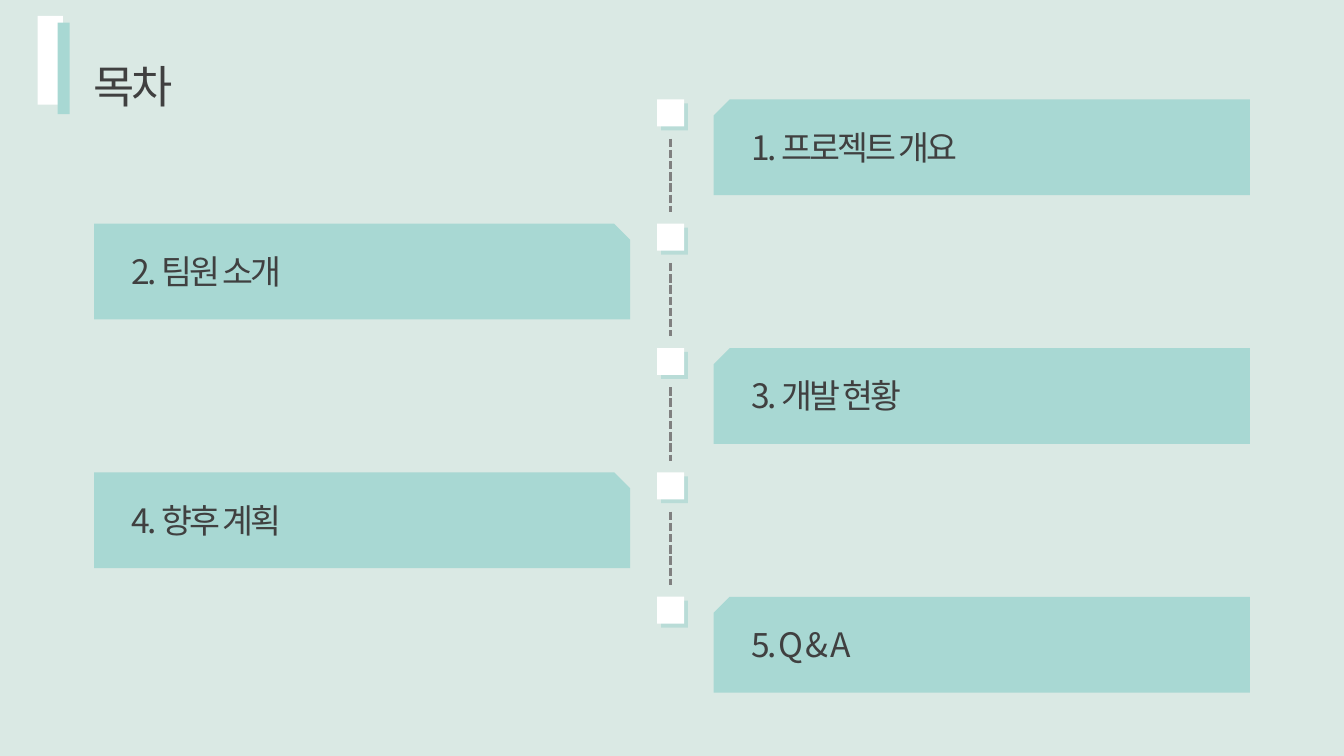
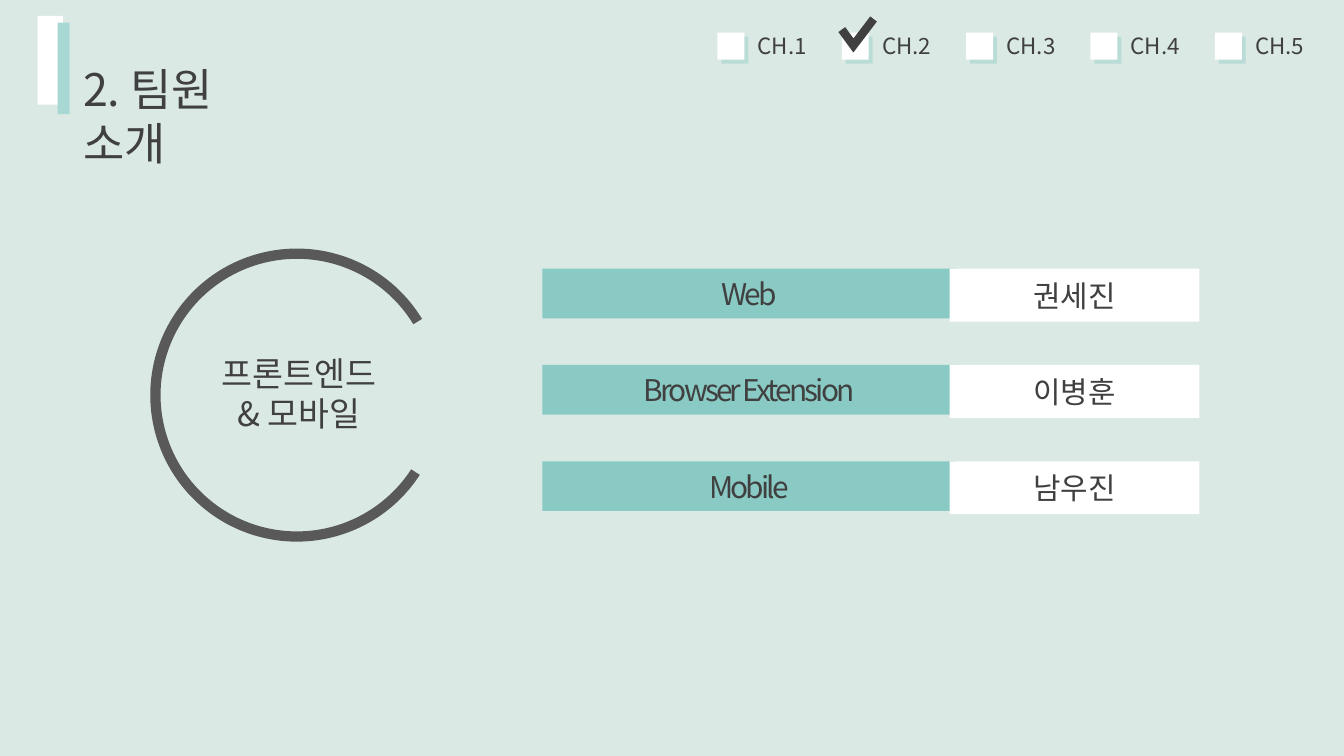
from dataclasses import dataclass

import lxml.etree
import pptx
import pptx.dml.color
import pptx.enum.dml
import pptx.enum.shapes
import pptx.enum.text
import pptx.oxml.ns
import pptx.util

Cm = pptx.util.Cm
Pt = pptx.util.Pt
SHAPE = pptx.enum.shapes.MSO_SHAPE
ALIGN = pptx.enum.text.PP_ALIGN
ANCHOR = pptx.enum.text.MSO_ANCHOR
qn = pptx.oxml.ns.qn


@dataclass(frozen=True)
class Theme:
    font: str = "Noto Sans CJK KR"
    background: str = "DAE9E4"
    white: str = "FFFFFF"
    mint: str = "A8D8D3"
    teal: str = "89CAC4"
    ink: str = "404040"
    ring: str = "595959"
    dash: str = "808080"
    title_size: int = 24
    body_size: int = 18
    member_size: int = 16
    chapter_size: int = 12
    tight: float = -1.5


@dataclass(frozen=True)
class Box:
    """A rectangle measured in centimetres."""
    left: float
    top: float
    width: float
    height: float

    def inner(self, left, top, width, height):
        """Return a box whose place is counted from this box's corner."""
        return Box(self.left + left, self.top + top, width, height)

    def lengths(self):
        return Cm(self.left), Cm(self.top), Cm(self.width), Cm(self.height)


THEME = Theme()
PAGE = Box(0, 0, 25.4, 14.29)
STEP = 2.35
SQUARE = 0.51
AGENDA = ["1. 프로젝트 개요", "2. 팀원 소개", "3. 개발 현황", "4. 향후 계획", "5. Q & A"]
MEMBERS = [("Web", "권세진"), ("Browser Extension", "이병훈"), ("Mobile", "남우진")]


def color(value):
    return pptx.dml.color.RGBColor.from_string(value)


def add_element(parent, tag, **attributes):
    return lxml.etree.SubElement(parent, qn(tag), attributes)


def write(shape, text, size, spacing=0, align=ALIGN.LEFT, anchor=ANCHOR.TOP, wrap=True):
    frame = shape.text_frame
    frame.text = text
    frame.word_wrap = wrap
    frame.vertical_anchor = anchor
    for para in frame.paragraphs:
        para.alignment = align
        for span in para.runs:
            span.font.size = Pt(size)
            span.font.name = THEME.font
            span.font.color.rgb = color(THEME.ink)
            properties = span.font._element
            add_element(properties, "a:ea", typeface=THEME.font)
            if spacing:
                properties.set("spc", str(round(spacing * 100)))


def add_text(page, box, text, size, **style):
    write(page.shapes.add_textbox(*box.lengths()), text, size, **style)


def add_block(page, box, fill, kind=SHAPE.RECTANGLE):
    block = page.shapes.add_shape(kind, *box.lengths())
    block.shadow.inherit = False
    block.fill.solid()
    block.fill.fore_color.rgb = color(fill)
    block.line.fill.background()
    return block


def add_square(page, box):
    """Add a white square with a hard teal shadow."""
    square = add_block(page, box, THEME.white)
    effects = square._element.spPr.find(qn("a:effectLst"))
    shadow = add_element(effects, "a:outerShdw", blurRad="0", dist=str(Pt(3)),
                         dir="2700000", algn="tl", rotWithShape="0")
    tint = add_element(shadow, "a:srgbClr", val=THEME.teal)
    add_element(tint, "a:alpha", val="40000")


def add_title(page, box, text, spacing=0):
    add_block(page, PAGE.inner(0.71, 0.3, 0.48, 1.68), THEME.white)
    add_block(page, PAGE.inner(1.09, 0.43, 0.23, 1.73), THEME.mint)
    add_text(page, box, text, THEME.title_size, spacing=spacing)


def add_timeline(page, box, count):
    for index in range(count):
        top = index * STEP
        add_square(page, box.inner(0, top, SQUARE, SQUARE))
        if index < count - 1:
            middle = Cm(box.left + box.width / 2)
            line = page.shapes.add_connector(
                pptx.enum.shapes.MSO_CONNECTOR.STRAIGHT,
                middle, Cm(box.top + top + 0.74), middle, Cm(box.top + top + 2.13))
            line.line.color.rgb = color(THEME.dash)
            line.line.width = Pt(1.5)
            line.line.dash_style = pptx.enum.dml.MSO_LINE.SQUARE_DOT
            add_element(line._element.spPr, "a:effectLst")


def add_agenda_card(page, box, text, snip_left):
    if snip_left:
        # The snipped corner is top right, so a left snip needs a quarter turn.
        shift = (box.width - box.height) / 2
        upright = box.inner(shift, -shift, box.height, box.width)
        card = add_block(page, upright, THEME.mint, SHAPE.SNIP_1_RECTANGLE)
        card.rotation = 270
    else:
        add_block(page, box, THEME.mint, SHAPE.SNIP_1_RECTANGLE)
    add_text(page, box.inner(0.46, 0.39, 9.22, 1.02), text,
             THEME.body_size, spacing=THEME.tight)


def add_chapters(page, box, count, current):
    """Add the row of chapter squares and tick the current one."""
    for index in range(count):
        square = box.inner(index * STEP, 0, SQUARE, SQUARE)
        add_square(page, square)
        add_text(page, square.inner(SQUARE, -0.14, 1.52, 0.76), f"CH.{index + 1}",
                 THEME.chapter_size, wrap=False)
    add_tick(page, box.inner((current - 1) * STEP, 0, SQUARE, SQUARE))


def add_tick(page, box):
    points = [(Cm(box.left + x), Cm(box.top + y))
              for x, y in [(0, -0.06), (0.22, 0.24), (0.6, -0.26)]]
    builder = page.shapes.build_freeform(*points[0])
    builder.add_line_segments(points[1:], close=False)
    tick = builder.convert_to_shape()
    tick.shadow.inherit = False
    tick.fill.background()
    tick.line.color.rgb = color(THEME.ink)
    tick.line.width = Pt(4.5)
    add_element(tick.line._ln, "a:miter", lim="800000")


def add_team_ring(page, box, text):
    add_text(page, box.inner(1.02, 1.85, 3.58, 1.8), text,
             THEME.body_size, align=ALIGN.CENTER)
    ring = add_block(page, box, THEME.ring, SHAPE.BLOCK_ARC)
    ring.rotation = 45.8
    for index, value in enumerate([208.31, 169.73, 0.035]):
        ring.adjustments[index] = value


def add_members(page, box, members):
    for index, (part, name) in enumerate(members):
        top = index * 1.82
        cells = [
            (box.inner(0, top, 7.82, 0.94), THEME.teal, part, THEME.tight),
            (box.inner(7.7, top, 4.72, 1), THEME.white, name, 0),
        ]
        for cell, fill, text, spacing in cells:
            write(add_block(page, cell, fill), text, THEME.member_size,
                  spacing=spacing, align=ALIGN.CENTER, anchor=ANCHOR.MIDDLE)


def add_page(deck):
    page = deck.slides.add_slide(deck.slide_layouts[6])
    page.background.fill.solid()
    page.background.fill.fore_color.rgb = color(THEME.background)
    return page


def build_agenda(deck):
    page = add_page(deck)
    add_timeline(page, PAGE.inner(12.42, 1.88, SQUARE, 9.91), len(AGENDA))
    add_title(page, PAGE.inner(1.52, 0.99, 2.87, 1.27), "목차", THEME.tight)
    for index, text in enumerate(AGENDA):
        on_right = index % 2 == 0
        card = PAGE.inner(13.49 if on_right else 1.78, 1.88 + index * STEP, 10.13, 1.81)
        add_agenda_card(page, card, text, snip_left=on_right)


def build_team(deck):
    page = add_page(deck)
    add_title(page, PAGE.inner(1.32, 1.04, 4.4, 1.27), AGENDA[1])
    add_members(page, PAGE.inner(10.25, 5.08, 12.42, 4.64), MEMBERS)
    add_team_ring(page, PAGE.inner(2.84, 4.7, 5.54, 5.54), "프론트엔드\v& 모바일")
    add_chapters(page, PAGE.inner(13.56, 0.62, 11.43, SQUARE), len(AGENDA), current=2)


def main():
    deck = pptx.Presentation()
    deck.slide_width = Cm(PAGE.width)
    deck.slide_height = Cm(PAGE.height)
    build_agenda(deck)
    build_team(deck)
    deck.save("out.pptx")


if __name__ == "__main__":
    main()
